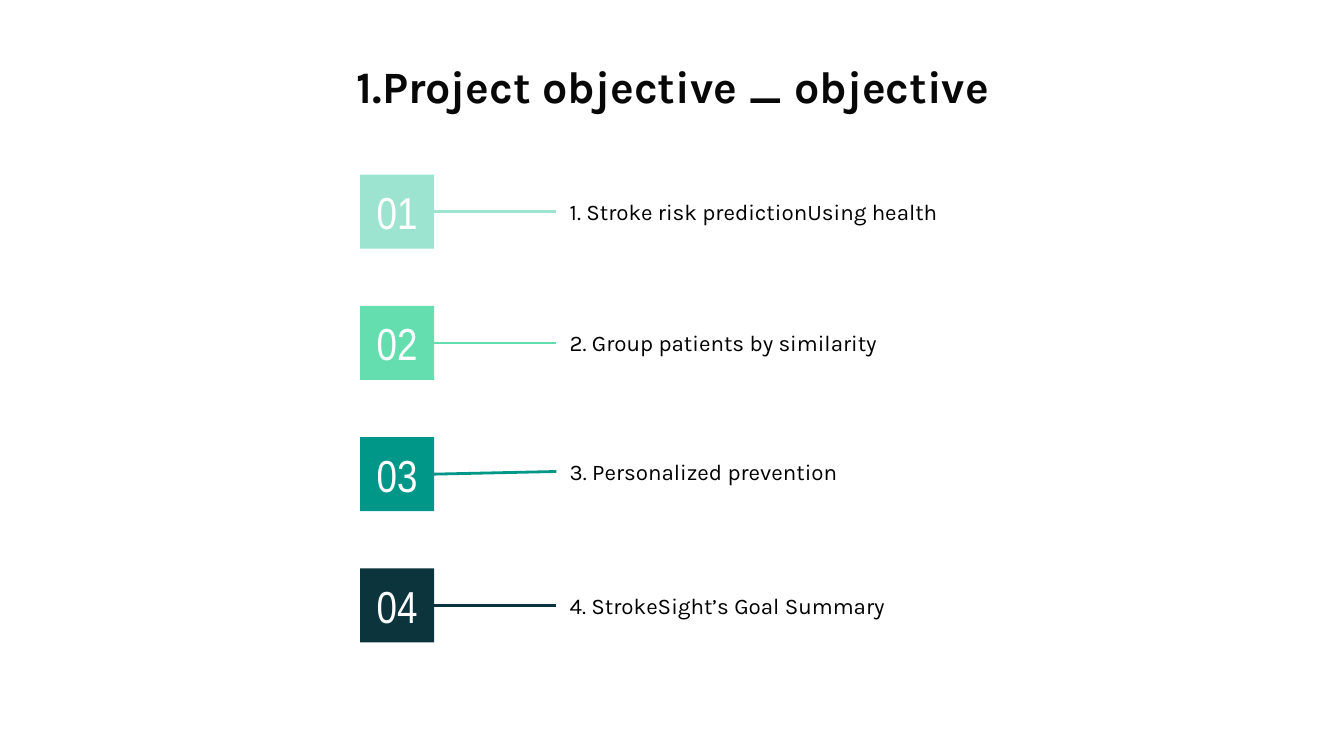
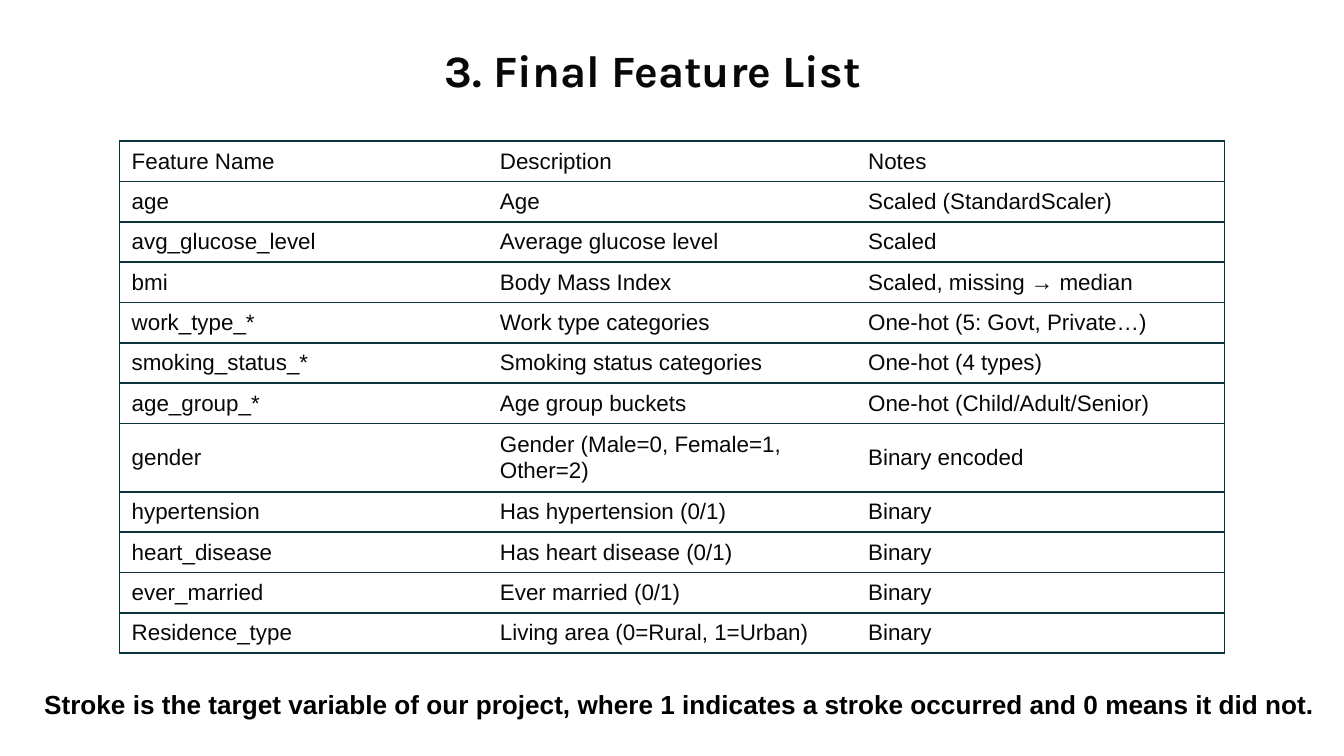
from lxml import etree
from pptx import Presentation
from pptx.dml.color import RGBColor
from pptx.enum.shapes import MSO_CONNECTOR, MSO_SHAPE
from pptx.enum.text import MSO_ANCHOR, PP_ALIGN
from pptx.oxml.ns import qn
from pptx.util import Inches, Pt

RECTANGLE = MSO_SHAPE.RECTANGLE
STRAIGHT = MSO_CONNECTOR.STRAIGHT
LEFT, CENTER = PP_ALIGN.LEFT, PP_ALIGN.CENTER
TOP, MIDDLE = MSO_ANCHOR.TOP, MSO_ANCHOR.MIDDLE

SLIDE_WIDTH = 10
SLIDE_HEIGHT = SLIDE_WIDTH * 9 / 16

WHITE, BLACK, TITLE_INK, DARK_TEAL = "FFFFFF", "000000", "080808", "0C343D"
HEADING_FONT, NUMBER_FONT, BODY_FONT = "Karla", "Arial Narrow", "Arial"

OBJECTIVES_TITLE = "1.Project objective _ objective"
# number, colour, text, vertical shift of the text
OBJECTIVES = [
    ("01", "9CE4D0", "1. Stroke risk predictionUsing health", 0),
    ("02", "64DEAE", "2. Group patients by similarity", 0),
    ("03", "009688", "3. Personalized prevention", -0.02),
    ("04", DARK_TEAL, "4. StrokeSight’s Goal Summary", 0),
]

FEATURES_TITLE = "3. Final Feature List"
FEATURES = [
    ("Feature Name", "Description", "Notes"),
    ("age", "Age", "Scaled (StandardScaler)"),
    ("avg_glucose_level", "Average glucose level", "Scaled"),
    ("bmi", "Body Mass Index", "Scaled, missing → median"),
    ("work_type_*", "Work type categories", "One-hot (5: Govt, Private…)"),
    ("smoking_status_*", "Smoking status categories", "One-hot (4 types)"),
    ("age_group_*", "Age group buckets", "One-hot (Child/Adult/Senior)"),
    ("gender", "Gender (Male=0, Female=1, Other=2)", "Binary encoded"),
    ("hypertension", "Has hypertension (0/1)", "Binary"),
    ("heart_disease", "Has heart disease (0/1)", "Binary"),
    ("ever_married", "Ever married (0/1)", "Binary"),
    ("Residence_type", "Living area (0=Rural, 1=Urban)", "Binary"),
]
TARGET_NOTE = ("Stroke is the target variable of our project, where 1 indicates "
               "a stroke occurred and 0 means it did not.")

SQUARE_LEFT, SQUARE_SIZE = 2.68, 0.55
FIRST_TOP, LAST_TOP = 1.3, 4.23
LABEL_LEFT, LABEL_WIDTH, LABEL_HEIGHT = 4.14, 3.05, 0.58
COLUMN_WIDTH, ROW_HEIGHT, TALL_ROW_HEIGHT = 2.74, 0.3, 0.51


def rgb(color):
    return RGBColor.from_string(color)


def write(frame, text, size=12, font=BODY_FONT, color=BLACK, bold=False,
          align=LEFT, space_after=0):
    paragraph = frame.paragraphs[0]
    paragraph.alignment = align
    paragraph.space_after = Pt(space_after)
    run = paragraph.add_run()
    run.text = text
    run.font.size = Pt(size)
    run.font.name = font
    run.font.bold = bold
    run.font.color.rgb = rgb(color)


def set_frame(frame, anchor, inset_x=0.1, inset_y=0.1):
    frame.word_wrap = True
    frame.vertical_anchor = anchor
    frame.margin_left = frame.margin_right = Inches(inset_x)
    frame.margin_top = frame.margin_bottom = Inches(inset_y)


def add_text(slide, box, text, anchor=TOP, inset_y=0.1, **text_format):
    shape = slide.shapes.add_textbox(*map(Inches, box))
    set_frame(shape.text_frame, anchor, inset_y=inset_y)
    write(shape.text_frame, text, **text_format)


def add_title(slide, left, top, text, space_after=0):
    add_text(slide, (left, top, 9.61, 0.63), text, size=24, font=HEADING_FONT,
             color=TITLE_INK, bold=True, align=CENTER, space_after=space_after)


def add_number_square(slide, top, number, color):
    shape = slide.shapes.add_shape(RECTANGLE, Inches(SQUARE_LEFT), Inches(top),
                                   Inches(SQUARE_SIZE), Inches(SQUARE_SIZE))
    shape.shadow.inherit = False
    shape.fill.solid()
    shape.fill.fore_color.rgb = rgb(color)
    shape.line.fill.background()
    set_frame(shape.text_frame, MIDDLE)
    write(shape.text_frame, number, size=24, font=NUMBER_FONT, color=WHITE, align=CENTER)


def add_line(slide, start, end, color):
    line = slide.shapes.add_connector(STRAIGHT, *map(Inches, start + end))
    line.line.color.rgb = rgb(color)
    line.line.width = Pt(1.5)
    etree.SubElement(line._element.spPr, qn("a:effectLst"))


def set_borders(cell, visible_sides):
    properties = cell._tc.get_or_add_tcPr()
    for side in "LRTB":
        border = etree.SubElement(properties, qn(f"a:ln{side}"))
        if side in visible_sides:
            border.set("w", str(Pt(1)))
            fill = etree.SubElement(border, qn("a:solidFill"))
            etree.SubElement(fill, qn("a:srgbClr")).set("val", DARK_TEAL)
        else:
            etree.SubElement(border, qn("a:noFill"))


def add_feature_table(slide):
    heights = [TALL_ROW_HEIGHT if row[0] == "gender" else ROW_HEIGHT for row in FEATURES]
    column_count = len(FEATURES[0])
    table = slide.shapes.add_table(
        len(FEATURES), column_count, Inches(0.89), Inches(1.05),
        Inches(COLUMN_WIDTH * column_count), Inches(sum(heights))).table
    table.first_row = table.horz_banding = False
    for column in table.columns:
        column.width = Inches(COLUMN_WIDTH)
    outer_sides = {0: "L", column_count - 1: "R"}
    for row_index, (values, height) in enumerate(zip(FEATURES, heights)):
        table.rows[row_index].height = Inches(height)
        for column_index, value in enumerate(values):
            cell = table.cell(row_index, column_index)
            set_borders(cell, "TB" + outer_sides.get(column_index, ""))
            cell.fill.solid()
            cell.fill.fore_color.rgb = rgb(WHITE)
            cell.vertical_anchor = MIDDLE
            cell.margin_left = cell.margin_right = Inches(0.09)
            cell.margin_top = cell.margin_bottom = Inches(0.04)
            write(cell.text_frame, value, color=TITLE_INK)


def add_slide(presentation):
    slide = presentation.slides.add_slide(presentation.slide_layouts[6])
    slide.background.fill.solid()
    slide.background.fill.fore_color.rgb = rgb(WHITE)
    return slide


def build_objectives(presentation):
    slide = add_slide(presentation)
    add_title(slide, 0.2, 0.34, OBJECTIVES_TITLE)
    pitch = (LAST_TOP - FIRST_TOP) / (len(OBJECTIVES) - 1)
    for index, (number, color, text, shift) in enumerate(OBJECTIVES):
        top = FIRST_TOP + index * pitch
        middle = top + SQUARE_SIZE / 2
        label_middle = middle + shift
        add_number_square(slide, top, number, color)
        add_text(slide, (LABEL_LEFT, label_middle - LABEL_HEIGHT / 2,
                         LABEL_WIDTH, LABEL_HEIGHT),
                 text, anchor=MIDDLE, font=HEADING_FONT)
        add_line(slide, (SQUARE_LEFT + SQUARE_SIZE, middle),
                 (LABEL_LEFT, label_middle), color)


def build_features(presentation):
    slide = add_slide(presentation)
    add_title(slide, 0.05, 0.22, FEATURES_TITLE, space_after=8)
    add_feature_table(slide)
    add_text(slide, (0.23, 5.07, 10.19, 0.34), TARGET_NOTE, inset_y=0.05,
             size=14, bold=True)


def main():
    presentation = Presentation()
    presentation.slide_width = Inches(SLIDE_WIDTH)
    presentation.slide_height = Inches(SLIDE_HEIGHT)
    build_objectives(presentation)
    build_features(presentation)
    presentation.save("out.pptx")


if __name__ == "__main__":
    main()
